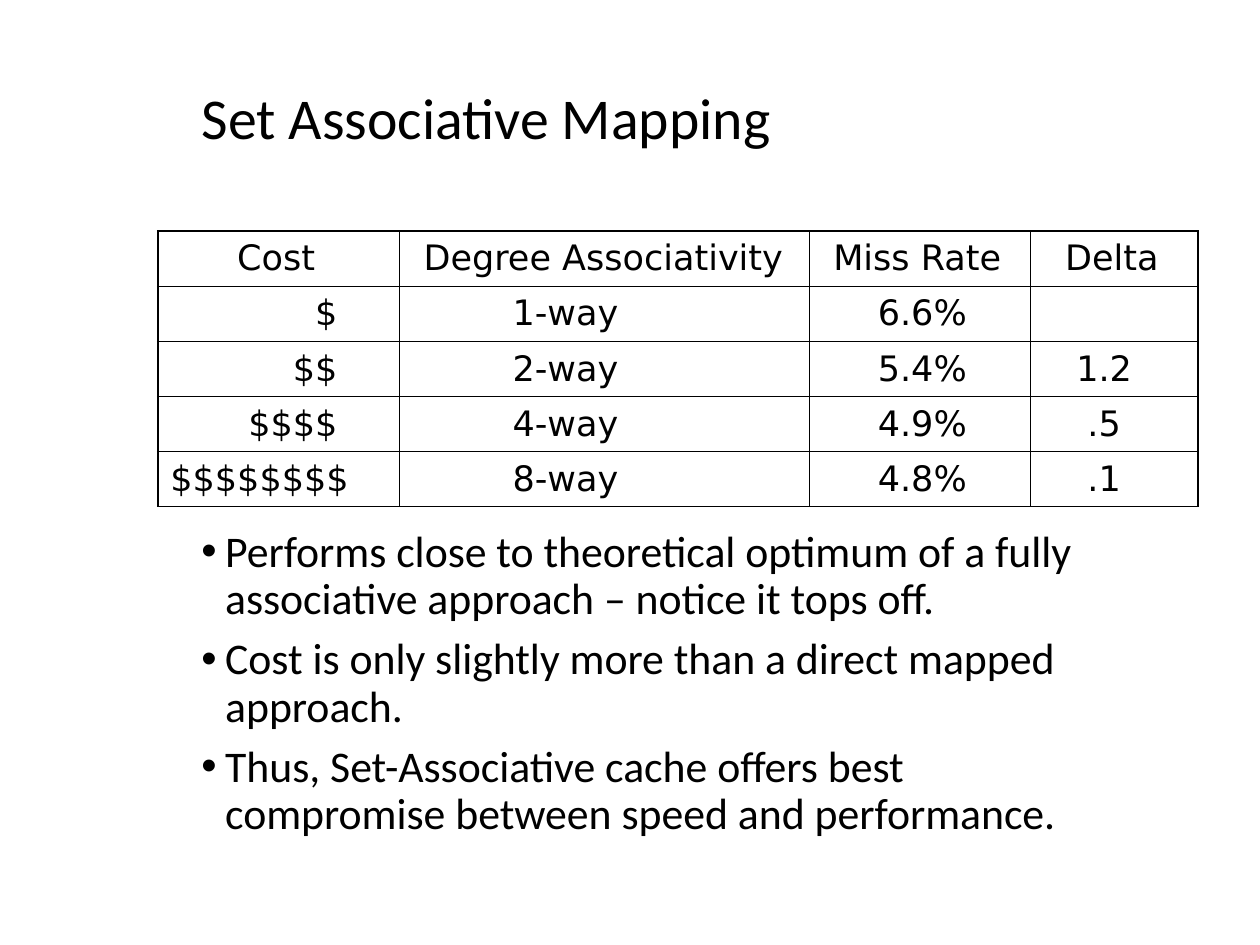
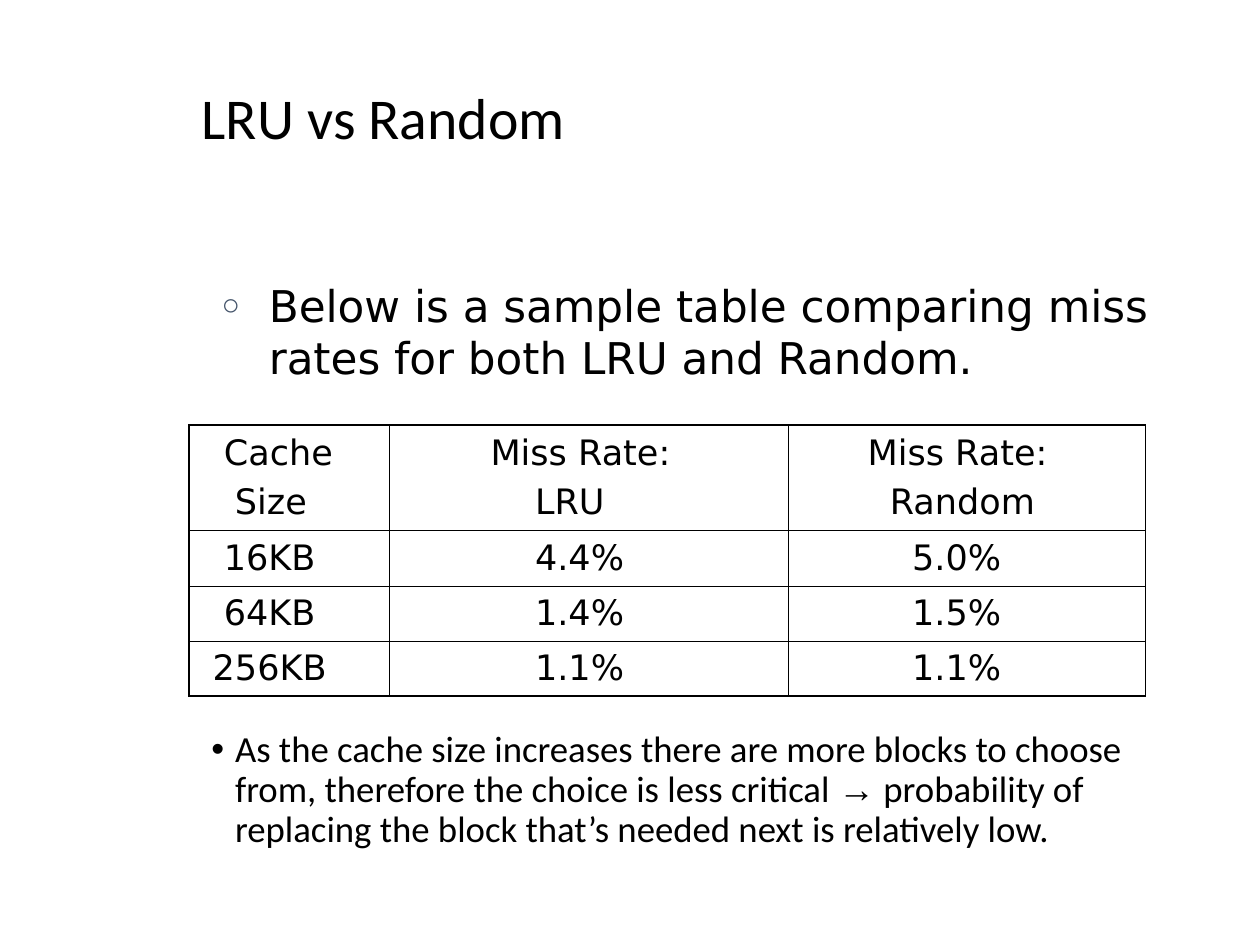
"""Build two slides on cache mapping and replacement, each with a table and bullet text."""
import pptx
import pptx.dml.color
import pptx.enum.text
import pptx.oxml.ns
import pptx.util
from lxml import etree

Cm = pptx.util.Cm
Pt = pptx.util.Pt
qn = pptx.oxml.ns.qn

COLORS = {"text": "000000", "border": "000000", "circle_bullet": "44546A"}
BODY_FONT = "Calibri"
TABLE_FONT = "DejaVu Sans"
INDENT_STEP = Pt(6.36)
OUTER_BORDER = Pt(1.08)
INNER_BORDER = Pt(0.45)


def add_run(paragraph, text, size, font_name):
    run = paragraph.add_run()
    run.text = text
    run.font.size = Pt(size)
    run.font.name = font_name
    run.font.color.rgb = pptx.dml.color.RGBColor.from_string(COLORS["text"])


def add_bullets(slide, box, paragraphs, size, bullet, bullet_color, bullet_percent, hanging, line_spacing):
    shape = slide.shapes.add_textbox(*[Cm(length) for length in box])
    shape.text_frame.word_wrap = True
    for index, runs in enumerate(paragraphs):
        paragraph = shape.text_frame.paragraphs[0] if index == 0 else shape.text_frame.add_paragraph()
        properties = paragraph._p.get_or_add_pPr()
        properties.set("marL", str(Cm(hanging)))
        properties.set("indent", str(-Cm(hanging)))
        color = etree.SubElement(properties, qn("a:buClr"))
        etree.SubElement(color, qn("a:srgbClr"), val=bullet_color)
        etree.SubElement(properties, qn("a:buSzPct"), val=str(bullet_percent * 1000))
        etree.SubElement(properties, qn("a:buFont"), typeface="Arial")
        etree.SubElement(properties, qn("a:buChar"), char=bullet)
        paragraph.line_spacing = line_spacing
        paragraph.space_before = Pt(7.5 if index else 0)
        for text, font_name in runs:
            add_run(paragraph, text, size, font_name)


presentation = pptx.Presentation()
presentation.slide_width = Cm(25.4)
presentation.slide_height = Cm(19.05)

slide_contents = [
    {
        "title": "Set Associative Mapping",
        "table_position": (3.18, 4.66),
        "column_widths": [4.88, 8.26, 4.45, 3.38],
        "row_heights": [1.11] * 5,
        "rows": [
            [[(6, "Cost")], [(1, "Degree Associativity")], [(1, "Miss Rate")], [(2, "Delta")]],
            [[(13, "$")], [(9, "1-way")], [(5, "6.6%")], []],
            [[(11, "$$")], [(9, "2-way")], [(5, "5.4%")], [(3, "1.2")]],
            [[(7, "$$$$")], [(9, "4-way")], [(5, "4.9%")], [(4, ".5")]],
            [[(0, "$$$$$$$$")], [(9, "8-way")], [(5, "4.8%")], [(4, ".1")]],
        ],
        "body_box": (3.81, 10.55, 18.21, 7.5),
        "body_size": 25,
        "body": [
            [("Performs close to theoretical optimum of a fully associative approach – notice it tops off.", BODY_FONT)],
            [("Cost is only slightly more than a direct mapped approach.", BODY_FONT)],
            [("Thus, Set-Associative cache offers best compromise between speed and performance.", BODY_FONT)],
        ],
    },
    {
        "title": "LRU vs Random",
        "table_position": (3.81, 8.57),
        "column_widths": [4.03, 8.05, 7.2],
        "row_heights": [2.13] + [1.11] * 3,
        "rows": [
            [[(2, "Cache"), (3, "Size")], [(8, "Miss Rate:"), (12, "LRU")], [(6, "Miss Rate:"), (8, "Random")]],
            [[(2, "16KB")], [(12, "4.4%")], [(10, "5.0%")]],
            [[(2, "64KB")], [(12, "1.4%")], [(10, "1.5%")]],
            [[(1, "256KB")], [(12, "1.1%")], [(10, "1.1%")]],
        ],
        "body_box": (4.01, 14.61, 19.91, 4.24),
        "body_size": 21,
        "body": [
            [
                ("As the cache size increases there are more blocks to choose from, "
                 "therefore the choice is less critical ", BODY_FONT),
                ("→", "Arial"),
                (" probability of replacing the block that’s needed next is relatively low.", BODY_FONT),
            ],
        ],
    },
]

for content in slide_contents:
    slide = presentation.slides.add_slide(presentation.slide_layouts[5])

    title = slide.shapes.title
    title.left, title.top, title.width, title.height = Cm(3.81), Cm(0.84), Cm(20.32), Cm(3.18)
    title.text_frame.auto_size = pptx.enum.text.MSO_AUTO_SIZE.NONE
    title.text_frame.vertical_anchor = pptx.enum.text.MSO_ANCHOR.MIDDLE
    paragraph = title.text_frame.paragraphs[0]
    paragraph.alignment = pptx.enum.text.PP_ALIGN.LEFT
    paragraph.line_spacing = 0.9
    add_run(paragraph, content["title"], 33, BODY_FONT)

    add_bullets(slide, content["body_box"], content["body"], content["body_size"],
                "•", COLORS["text"], 100, 0.48, 0.9)

    rows, widths, heights = content["rows"], content["column_widths"], content["row_heights"]
    left, top = content["table_position"]
    table = slide.shapes.add_table(len(rows), len(widths), Cm(left), Cm(top),
                                   Cm(sum(widths)), Cm(sum(heights))).table
    table.first_row = False
    table.horz_banding = False
    for column, width in zip(table.columns, widths):
        column.width = Cm(width)
    for row, height in zip(table.rows, heights):
        row.height = Cm(height)

    for row_index, row in enumerate(rows):
        for column_index, lines in enumerate(row):
            cell = table.cell(row_index, column_index)
            cell.vertical_anchor = pptx.enum.text.MSO_ANCHOR.MIDDLE
            on_edge = {
                "a:lnL": column_index == 0,
                "a:lnR": column_index == len(widths) - 1,
                "a:lnT": row_index == 0,
                "a:lnB": row_index == len(rows) - 1,
            }
            for tag, is_outer in on_edge.items():
                border = etree.SubElement(cell._tc.get_or_add_tcPr(), qn(tag),
                                          w=str(OUTER_BORDER if is_outer else INNER_BORDER))
                border_fill = etree.SubElement(border, qn("a:solidFill"))
                etree.SubElement(border_fill, qn("a:srgbClr"), val=COLORS["border"])
            cell.fill.background()
            for index, (steps, text) in enumerate(lines):
                paragraph = cell.text_frame.paragraphs[0] if index == 0 else cell.text_frame.add_paragraph()
                paragraph._p.get_or_add_pPr().set("marL", str(steps * INDENT_STEP))
                paragraph.space_before = Pt(5 if index else 0)
                add_run(paragraph, text, 20, TABLE_FONT)

add_bullets(slide, (4.22, 5.49, 20.96, 3.0),
            [[("Below is a sample table comparing miss rates for both LRU and Random.", TABLE_FONT)]],
            25, "○", COLORS["circle_bullet"], 70, 0.95, 1.0)

presentation.save("out.pptx")
